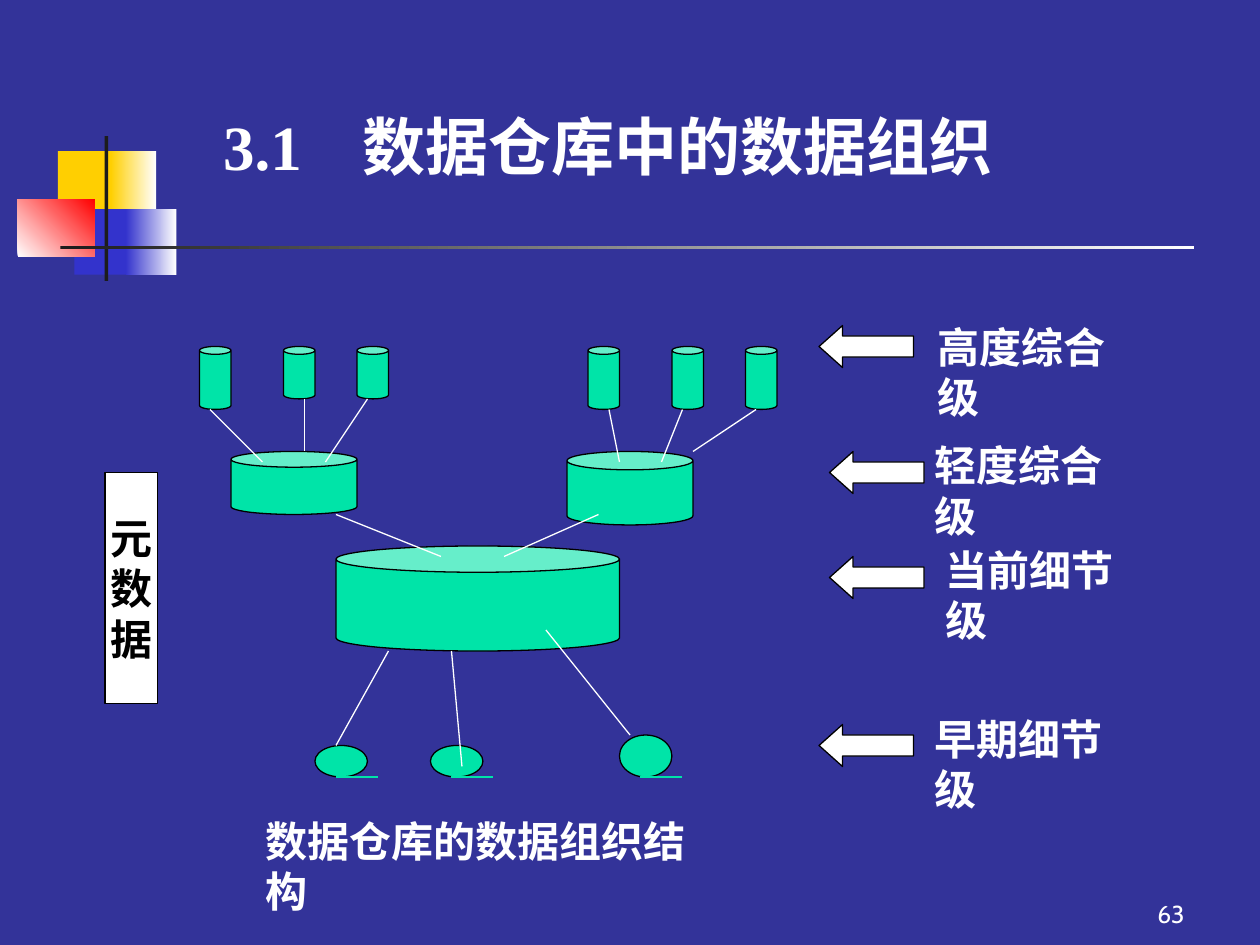
"""Builds a slide on how data is organised in a data warehouse."""
from lxml.etree import SubElement
from pptx import Presentation
from pptx.dml.color import RGBColor
from pptx.enum.shapes import MSO_CONNECTOR, MSO_SHAPE
from pptx.enum.text import MSO_ANCHOR, MSO_AUTO_SIZE, PP_ALIGN
from pptx.oxml.ns import qn
from pptx.util import Inches, Pt

COLORS = {"background": "333399", "white": "FFFFFF", "black": "000000", "yellow": "FFCF01",
          "blue": "3333CC", "red": "FF0000", "dark": "1C1C1C", "green": "00E4A8"}
CELLS_PER_INCH = 12
BODY_FONT, TITLE_FONT = "Cabin", "Times New Roman"

TITLE = "3.1\t数据仓库中的数据组织"
CAPTION = ("数据仓库的数据组织结构", 2.01, 6.42, 3.86)
PAGE_NUMBER = "63"
METADATA = ["元", "数", "据"]

ORNAMENTS = [
    (0.46, 1.2, 0.48, 0.52, ["yellow"], 0),
    (0.88, 1.2, 0.36, 0.52, ["yellow", "white"], 0),
    (0.59, 1.66, 0.46, 0.52, ["blue"], 0),
    (1, 1.66, 0.4, 0.52, ["blue", "white"], 0),
    (0.14, 1.58, 0.61, 0.46, ["white", "red"], 45),
    (0.83, 1.08, 0.03, 1.15, ["dark"], 0),
    (0.48, 1.95, 9, 0.03, ["dark", "white"], 0),
]
LEVELS = [
    ("高度综合级", 7.34, 2.5, 78, 31),
    ("轻度综合级", 7.32, 3.44, 79, 43),
    ("当前细节级", 7.41, 4.27, 79, 53),
    ("早期细节级", 7.32, 5.61, 78, 69),
]
DISKS = [(30, 71, 5, 3), (41, 71, 5, 3), (59, 70, 5, 4)]
STORES = [
    (32, 52, 27, 10), (22, 43, 12, 6), (54, 43, 12, 7),
    (19, 33, 3, 6), (27, 33, 3, 5), (34, 33, 3, 5),
    (56, 33, 3, 6), (64, 33, 3, 6), (71, 33, 3, 6),
]
LINKS = [
    (60, 70, 52, 60), (44, 73, 43, 62), (37, 62, 32, 71),
    (57, 49, 48, 53), (32, 49, 42, 53),
    (20, 39, 25, 44), (29, 38, 29, 43), (35, 38, 31, 44),
    (58, 39, 59, 44), (65, 39, 63, 44), (72, 39, 66, 43),
]


def color(name):
    return RGBColor.from_string(COLORS[name])


def cells(*counts):
    return [Inches(count / CELLS_PER_INCH) for count in counts]


def add_block(page, kind, frame, fills, outlined=True, angle=0):
    block = page.shapes.add_shape(kind, *frame)
    block.shadow.inherit = False
    if len(fills) == 1:
        block.fill.solid()
        block.fill.fore_color.rgb = color(fills[0])
    else:
        block.fill.gradient()
        block.fill.gradient_angle = angle
        for stop, name in zip(block.fill.gradient_stops, fills):
            stop.color.rgb = color(name)
    if outlined:
        block.line.color.rgb = color("black")
        block.line.width = Pt(0.75)
    else:
        block.line.fill.background()
    return block


def add_line(page, ends, name):
    line = page.shapes.add_connector(MSO_CONNECTOR.STRAIGHT, *cells(*ends))
    line.line.color.rgb = color(name)
    line.line.width = Pt(0.75)
    SubElement(line.element.spPr, qn("a:effectLst"))


def style_text(frame, size, name, font=BODY_FONT, bold=True, align=PP_ALIGN.LEFT):
    for para in frame.paragraphs:
        para.alignment = align
        for span in para.runs:
            span.font.size = Pt(size)
            span.font.name = font
            span.font.bold = bold
            span.font.color.rgb = color(name)


def add_label(page, text, left, top, width):
    box = page.shapes.add_textbox(Inches(left), Inches(top), Inches(width), Inches(0.5))
    box.text_frame.text = text
    box.text_frame.word_wrap = False
    style_text(box.text_frame, 24, "white")


def add_title(page):
    title = page.shapes.title
    title.left, title.top, title.width, title.height = map(Inches, (1.67, 0.67, 6.83, 1.16))
    frame = title.text_frame
    frame.text = TITLE
    frame.word_wrap = True
    frame.auto_size = MSO_AUTO_SIZE.NONE
    frame.vertical_anchor = MSO_ANCHOR.TOP
    frame.margin_top = frame.margin_bottom = Inches(0.18)
    style_text(frame, 36, "white", TITLE_FONT)
    tabs = SubElement(frame.paragraphs[0]._p.get_or_add_pPr(), qn("a:tabLst"))
    SubElement(tabs, qn("a:tab"), pos=str(Inches(1.11)), algn="l")


def add_metadata(page):
    box = add_block(page, MSO_SHAPE.RECTANGLE, cells(10, 45, 5, 22), ["white"])
    frame = box.text_frame
    frame.text = "\n".join(METADATA)
    frame.word_wrap = False
    frame.vertical_anchor = MSO_ANCHOR.MIDDLE
    style_text(frame, 24, "black", align=PP_ALIGN.CENTER)


def add_page_number(page):
    box = page.shapes.add_textbox(*map(Inches, (7.42, 6.92, 2.08, 0.5)))
    box.text_frame.text = PAGE_NUMBER
    box.text_frame.word_wrap = True
    box.text_frame.vertical_anchor = MSO_ANCHOR.BOTTOM
    style_text(box.text_frame, 14, "white", bold=False, align=PP_ALIGN.RIGHT)


def main():
    deck = Presentation()
    deck.slide_width, deck.slide_height = Inches(10), Inches(7.5)
    page = deck.slides.add_slide(deck.slide_layouts[5])
    page.background.fill.solid()
    page.background.fill.fore_color.rgb = color("background")

    for *frame, fills, angle in ORNAMENTS:
        add_block(page, MSO_SHAPE.RECTANGLE, map(Inches, frame), fills, False, angle)
    add_page_number(page)
    add_title(page)

    for disk in DISKS:
        add_block(page, MSO_SHAPE.OVAL, cells(*disk), ["green"])
    for store in STORES:
        add_block(page, MSO_SHAPE.CAN, cells(*store), ["green"]).adjustments[0] = 0.25
    for link in LINKS:
        add_line(page, link, "white")
    for left, top, width, height in DISKS:
        add_line(page, (left + 2, top + height, left + 6, top + height), "green")

    add_label(page, *CAPTION)
    add_metadata(page)
    for text, left, top, column, row in LEVELS:
        add_label(page, text, left, top, 1.86)
        arrow = add_block(page, MSO_SHAPE.LEFT_ARROW, cells(column, row, 9, 4), ["white"])
        arrow.adjustments[1] = 0.56
    deck.save("out.pptx")


if __name__ == "__main__":
    main()
